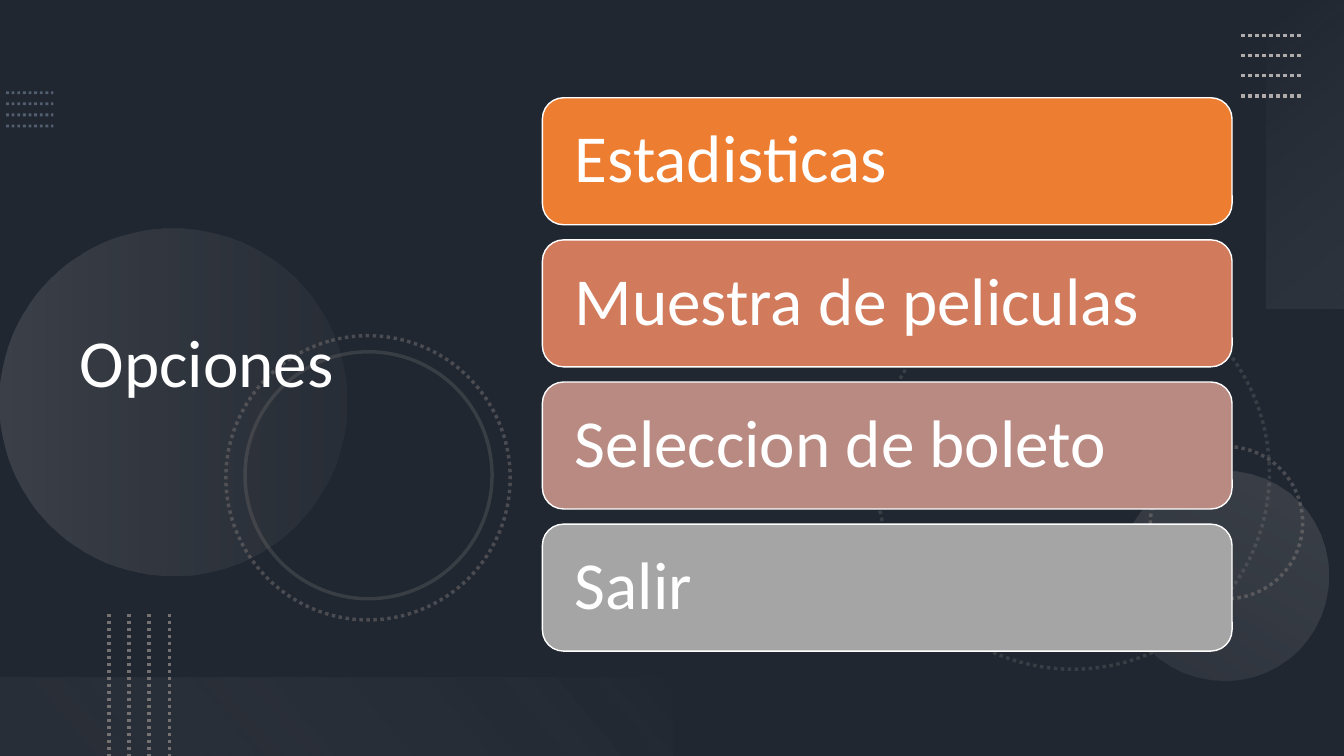
from dataclasses import dataclass
from typing import Optional

from lxml.etree import SubElement
from pptx import Presentation
from pptx.dml.color import RGBColor
from pptx.enum.dml import MSO_LINE_DASH_STYLE as Dash
from pptx.enum.shapes import MSO_CONNECTOR as Connector, MSO_SHAPE as Preset
from pptx.enum.text import MSO_ANCHOR as Anchor, MSO_AUTO_SIZE as AutoSize, PP_ALIGN as Align
from pptx.oxml.ns import qn
from pptx.util import Inches, Pt

SLATE = RGBColor(0x44, 0x54, 0x6A)
BLACK = RGBColor(0, 0, 0)
WHITE = RGBColor(0xFF, 0xFF, 0xFF)
BLUE_GRAY = RGBColor(0x84, 0x97, 0xB0)
GRAY = RGBColor(0x76, 0x71, 0x71)
LIGHT_GRAY = RGBColor(0xAF, 0xAB, 0xAB)
PALE = RGBColor(0xF5, 0xF5, 0xF5)
ORANGE = RGBColor(0xED, 0x7D, 0x31)
TERRACOTTA = RGBColor(0xD1, 0x7B, 0x5C)
ROSE = RGBColor(0xB9, 0x8A, 0x82)
SILVER = RGBColor(0xA5, 0xA5, 0xA5)
FONT = "Calibri"


@dataclass
class Stop:
    position: int
    color: RGBColor
    opacity: int


@dataclass
class Glow:
    preset: Preset
    left: float
    top: float
    width: float
    height: float
    rotation: int
    angle: int
    stops: tuple


@dataclass
class Ring:
    left: float
    top: float
    size: float
    opacity: int
    dash: Optional[Dash] = Dash.ROUND_DOT


@dataclass
class DotGrid:
    left: float
    top: float
    length: float
    gap: float
    color: RGBColor
    weight: float = 2.5
    opacity: int = 100
    vertical: bool = False


@dataclass
class Option:
    text: str
    color: RGBColor


def set_opacity(parent, percent: int) -> None:
    for color in parent.iter(qn("a:srgbClr")):
        SubElement(color, qn("a:alpha"), val=str(percent * 1000))


def add_preset(page, preset, left: float, top: float, width: float, height: float):
    box = page.shapes.add_shape(preset, Inches(left), Inches(top), Inches(width), Inches(height))
    box.shadow.inherit = False
    box.fill.background()
    box.line.fill.background()
    return box


def style_line(line, color: RGBColor, weight: float, dash: Optional[Dash] = None) -> None:
    line.color.rgb = color
    line.width = Pt(weight)
    if dash:
        line.dash_style = dash


def draw_glow(page, glow: Glow) -> None:
    box = add_preset(page, glow.preset, glow.left, glow.top, glow.width, glow.height)
    box.rotation = glow.rotation
    properties = box.element.spPr
    gradient = SubElement(properties, qn("a:gradFill"), rotWithShape="1")
    stop_list = SubElement(gradient, qn("a:gsLst"))
    for stop in glow.stops:
        mark = SubElement(stop_list, qn("a:gs"), pos=str(stop.position * 1000))
        SubElement(mark, qn("a:srgbClr"), val=str(stop.color))
        set_opacity(mark, stop.opacity)
    SubElement(gradient, qn("a:lin"), ang=str(glow.angle * 60000), scaled="0")
    properties.replace(properties.find(qn("a:noFill")), gradient)


def draw_ring(page, ring: Ring) -> None:
    box = add_preset(page, Preset.OVAL, ring.left, ring.top, ring.size, ring.size)
    box.rotation = 75
    style_line(box.line, GRAY, 2.5, ring.dash)
    set_opacity(box.element.spPr.find(qn("a:ln")), ring.opacity)


def draw_dots(page, grid: DotGrid) -> None:
    for index in range(4):
        left, top = grid.left, grid.top
        if grid.vertical:
            left += index * grid.gap
            right, bottom = left, top + grid.length
        else:
            top += index * grid.gap
            right, bottom = left + grid.length, top
        row = page.shapes.add_connector(
            Connector.STRAIGHT, Inches(left), Inches(top), Inches(right), Inches(bottom))
        style_line(row.line, grid.color, grid.weight, Dash.ROUND_DOT)
        properties = row.element.spPr
        set_opacity(properties, grid.opacity)
        SubElement(properties, qn("a:effectLst"))


def write_text(box, text: str, *, size: float = 48, color: RGBColor = WHITE,
               inset: float = 0.1) -> None:
    frame = box.text_frame
    frame.word_wrap = True
    frame.auto_size = AutoSize.NONE
    frame.vertical_anchor = Anchor.MIDDLE
    frame.margin_left = frame.margin_right = Inches(inset)
    para = frame.paragraphs[0]
    para.alignment = Align.LEFT
    para.line_spacing = 0.9
    span = para.add_run()
    span.text = text
    span.font.name = FONT
    span.font.size = Pt(size)
    span.font.color.rgb = color


def draw_option(page, option: Option, top: float) -> None:
    box = add_preset(page, Preset.ROUNDED_RECTANGLE, 5.38, top, 6.84, 1.26)
    box.fill.solid()
    box.fill.fore_color.rgb = option.color
    style_line(box.line, WHITE, 1)
    write_text(box, option.text, inset=0.26)


deck = Presentation()
deck.slide_width, deck.slide_height = Inches(13.33), Inches(7.5)
page = deck.slides.add_slide(deck.slide_layouts[5])

# Background with a dark veil
page.background.fill.solid()
page.background.fill.fore_color.rgb = SLATE
veil = add_preset(page, Preset.RECTANGLE, 0, 0, 13.33, 7.5)
veil.fill.solid()
veil.fill.fore_color.rgb = BLACK
set_opacity(veil.element.spPr, 53)

# Decoration, from back to front
DECORATION = [
    DotGrid(0.06, 0.92, 0.47, 0.11, BLUE_GRAY, weight=2, opacity=50),
    Ring(8.69, 2.74, 3.9, 30),
    Ring(11.41, 4.43, 1.51, 50),
    Glow(Preset.OVAL, 0, 2.27, 3.44, 3.44, 270, 90,
         (Stop(0, LIGHT_GRAY, 20), Stop(100, GRAY, 10))),
    Glow(Preset.OVAL, 11.1, 4.67, 2.08, 2.08, 210, 90,
         (Stop(0, LIGHT_GRAY, 10), Stop(100, LIGHT_GRAY, 20))),
    Ring(2.24, 3.33, 2.82, 50),
    Ring(2.43, 3.49, 2.45, 30, dash=None),
    Glow(Preset.RECTANGLE, 11.42, 1.14, 3.06, 0.78, 270, 140,
         (Stop(0, PALE, 0), Stop(100, LIGHT_GRAY, 10))),
    DotGrid(12.31, 0.35, 0.6, 0.2, LIGHT_GRAY),
    Glow(Preset.RECTANGLE, 0, 6.72, 6.67, 0.78, 180, 140,
         (Stop(10, GRAY, 10), Stop(100, PALE, 0))),
    DotGrid(1.08, 6.09, 1.41, 0.2, GRAY, vertical=True),
]
PAINTERS = {DotGrid: draw_dots, Ring: draw_ring, Glow: draw_glow}
for item in DECORATION:
    PAINTERS[type(item)](page, item)

# Title, raised above the decoration
title = page.shapes.title
title.left, title.top = Inches(0.69), Inches(0.54)
title.width, title.height = Inches(4.59), Inches(6.17)
write_text(title, "Opciones")
title.element.getparent().append(title.element)

# Menu options
OPTIONS = [
    Option("Estadisticas", ORANGE),
    Option("Muestra de peliculas", TERRACOTTA),
    Option("Seleccion de boleto", ROSE),
    Option("Salir", SILVER),
]
for index, option in enumerate(OPTIONS):
    draw_option(page, option, 0.97 + index * 1.41)

deck.save("out.pptx")
